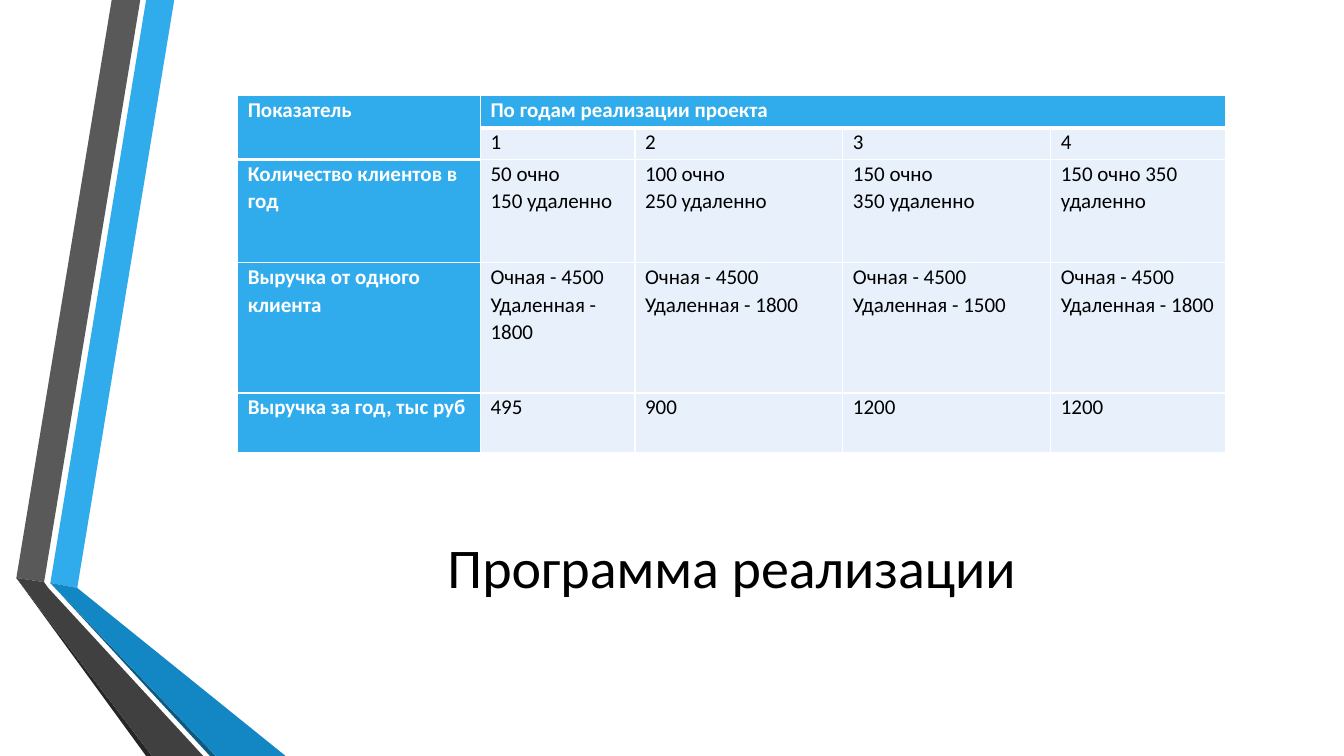
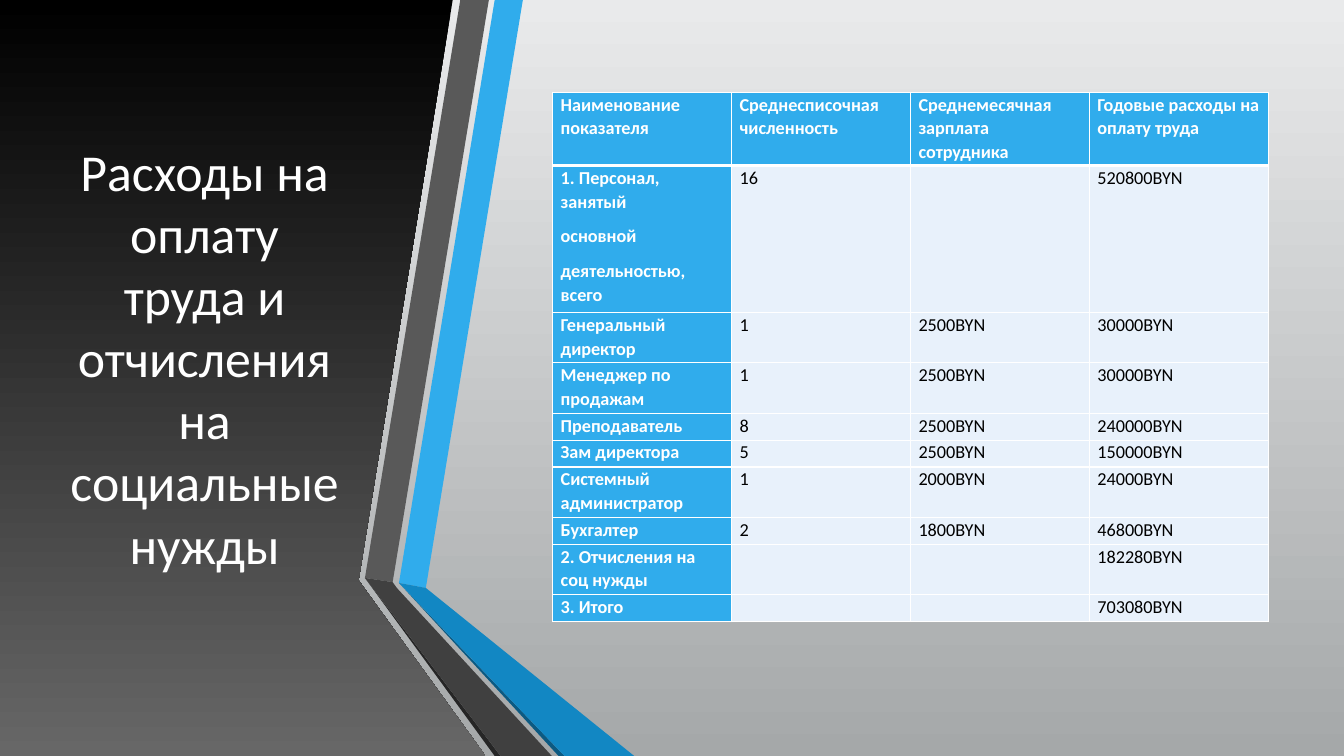
import lxml.etree
import pptx
import pptx.dml.color
import pptx.enum.text
import pptx.oxml.ns
import pptx.util

FONT = "Calibri"
BLUE, PALE, WHITE, BLACK = "30ACEC", "E8F1FB", "FFFFFF", "000000"
COLUMNS, ROWS = 160, 90
CELL = pptx.util.Inches(7.5) // ROWS

RIBBONS = [
    (BLUE, [(6, 69.4), (9.2, 70), (20.75, 0), (17.4, 0)]),
    ("595959", [(16.7, 0), (13.3, 0), (1.95, 68.8), (5.25, 69.3)]),
    ("262626", [(1.95, 68.8), (17.4, 90), (18.1, 90)]),
    ("0C5A82", [(6, 69.4), (25, 90), (25.7, 90)]),
    ("1287C3", [(6, 69.4), (25.7, 90), (34, 90), (9.2, 70)]),
    ("404040", [(24.2, 90), (5.75, 70), (5.25, 69.3), (1.95, 68.8), (18.1, 90)]),
]
PANEL = [(0, 0), (53.9, 0), (42.7, 69.1), (57.8, 90), (0, 90)]

PROGRAMME = [
    ["Показатель", "По годам реализации проекта", "", "", ""],
    ["", "1", "2", "3", "4"],
    ["Количество клиентов в год", "50 очно\n150 удаленно", "100 очно\n250 удаленно",
     "150 очно\n350 удаленно", "150 очно 350\nудаленно"],
    ["Выручка от одного клиента", "Очная - 4500\nУдаленная - 1800",
     "Очная - 4500\nУдаленная - 1800", "Очная - 4500\nУдаленная - 1500",
     "Очная - 4500\nУдаленная - 1800"],
    ["Выручка за год, тыс руб", "495", "900", "1200", "1200"],
]
PAYROLL = [
    ["Наименование показателя", "Среднесписочная численность",
     "Среднемесячная зарплата сотрудника", "Годовые расходы на оплату труда"],
    ["1. Персонал, занятый\n\nосновной\n\nдеятельностью, всего", "16", "", "520800BYN"],
    ["Генеральный директор", "1", "2500BYN", "30000BYN"],
    ["Менеджер по продажам", "1", "2500BYN", "30000BYN"],
    ["Преподаватель", "8", "2500BYN", "240000BYN"],
    ["Зам директора", "5", "2500BYN", "150000BYN"],
    ["Системный администратор", "1", "2000BYN", "24000BYN"],
    ["Бухгалтер", "2", "1800BYN", "46800BYN"],
    ["2. Отчисления на соц нужды", "", "", "182280BYN"],
    ["3. Итого", "", "", "703080BYN"],
]


def color(value):
    return pptx.dml.color.RGBColor.from_string(value)


def grid(cells):
    """Length of a number of grid cells."""
    return pptx.util.Emu(round(cells * CELL))


def paint(fill, value):
    """Fill with one colour, or from top to bottom with a pair of colours."""
    if isinstance(value, str):
        fill.solid()
        fill.fore_color.rgb = color(value)
        return
    fill.gradient()
    fill.gradient_angle = 270
    for stop, stop_color in zip(fill.gradient_stops, value):
        stop.color.rgb = color(stop_color)


def add_borders(cell, widths):
    """Draw white borders; widths maps an edge letter to points."""
    properties = cell._tc.get_or_add_tcPr()
    qn = pptx.oxml.ns.qn
    for edge, width in widths.items():
        line = lxml.etree.SubElement(properties, qn(f"a:ln{edge}"), w=str(pptx.util.Pt(width)))
        fill = lxml.etree.SubElement(line, qn("a:solidFill"))
        lxml.etree.SubElement(fill, qn("a:srgbClr"), val=WHITE)


class Deck:
    def __init__(self):
        self.presentation = pptx.Presentation()
        self.presentation.slide_width = grid(COLUMNS)
        self.presentation.slide_height = grid(ROWS)
        self.slide = None

    def add_slide(self, background):
        self.slide = self.presentation.slides.add_slide(self.presentation.slide_layouts[6])
        paint(self.slide.background.fill, background)

    def polygon(self, points, fill, shift=0):
        corners = [(grid(x + shift), grid(y)) for x, y in points]
        builder = self.slide.shapes.build_freeform(*corners[0])
        builder.add_line_segments(corners[1:], close=True)
        shape = builder.convert_to_shape()
        shape.shadow.inherit = False
        shape.line.fill.background()
        paint(shape.fill, fill)

    def ribbons(self, shift=0):
        for fill, points in RIBBONS:
            self.polygon(points, fill, shift)

    def add_run(self, paragraph, text, size, text_color, bold=False):
        run = paragraph.add_run()
        run.text = text
        run.font.name = FONT
        run.font.size = pptx.util.Pt(size)
        run.font.bold = bold
        run.font.color.rgb = color(text_color)

    def title(self, text, box, size, text_color):
        frame = self.slide.shapes.add_textbox(*map(grid, box)).text_frame
        frame.word_wrap = True
        frame.vertical_anchor = pptx.enum.text.MSO_ANCHOR.MIDDLE
        paragraph = frame.paragraphs[0]
        paragraph.alignment = pptx.enum.text.PP_ALIGN.CENTER
        self.add_run(paragraph, text, size, text_color)

    def cell_text(self, cell, text, size, text_color, bold):
        """Write text where a double newline parts paragraphs and a single one breaks a line."""
        frame = cell.text_frame
        for index, block in enumerate(text.split("\n\n")):
            paragraph = frame.add_paragraph() if index else frame.paragraphs[0]
            paragraph.line_spacing = 1.07
            paragraph.space_after = pptx.util.Pt(8)
            if not block:
                lxml.etree.SubElement(paragraph._p, pptx.oxml.ns.qn("a:endParaRPr"),
                                      sz=str(size * 100))
                continue
            for number, line in enumerate(block.split("\n")):
                if number:
                    paragraph.add_line_break()
                self.add_run(paragraph, line, size, text_color, bold)

    def table(self, rows, origin, widths, heights, size, inset, header_depths, merges=()):
        """Add a table; header_depths counts the header rows of each column."""
        box = (*origin, sum(widths), sum(heights))
        table = self.slide.shapes.add_table(len(rows), len(widths), *map(grid, box)).table
        table.first_row = table.horz_banding = False
        for column, width in zip(table.columns, widths):
            column.width = grid(width)
        for row, height in zip(table.rows, heights):
            row.height = grid(height)
        for first, last in merges:
            table.cell(*first).merge(table.cell(*last))
        for row_index, texts in enumerate(rows):
            for column_index, text in enumerate(texts):
                depth = header_depths[column_index]
                heading = row_index < depth or column_index == 0
                cell = table.cell(row_index, column_index)
                cell.margin_left = cell.margin_right = grid(inset)
                cell.margin_top = cell.margin_bottom = 0
                add_borders(cell, {"L": 1, "R": 1, "T": 3 if row_index == depth else 1,
                                   "B": 3 if row_index < depth else 1})
                paint(cell.fill, BLUE if heading else PALE)
                self.cell_text(cell, text, size, WHITE if heading else BLACK, heading)


def main():
    deck = Deck()

    deck.add_slide(WHITE)
    deck.ribbons()
    deck.title("Программа реализации", (23.2, 58.4, 127.8, 18.1), 40, BLACK)
    deck.table(PROGRAMME, (28.3, 11.4), [28.9, 18.4, 24.75, 24.75, 20.8],
               [3.8, 3.8, 12.3, 15.5, 7.1], 15, 1.2, [2, 1, 1, 1, 1],
               [((0, 0), (1, 0)), ((0, 1), (0, 4))])

    deck.add_slide(("E9EAEB", "A5A8A9"))
    deck.polygon(PANEL, (BLACK, "676767"))
    deck.title("Расходы на оплату труда и отчисления на социальные нужды",
               (7, 9, 34.7, 67), 37, WHITE)
    deck.ribbons(shift=41.5)
    one_line, two_lines = 3.2, 6
    deck.table(PAYROLL, (65.8, 11), [21.3] * 4,
               [8.7, 17.5, two_lines, two_lines, one_line, one_line,
                two_lines, one_line, two_lines, one_line], 13, 0.95, [1] * 4)

    deck.presentation.save("out.pptx")


if __name__ == "__main__":
    main()
